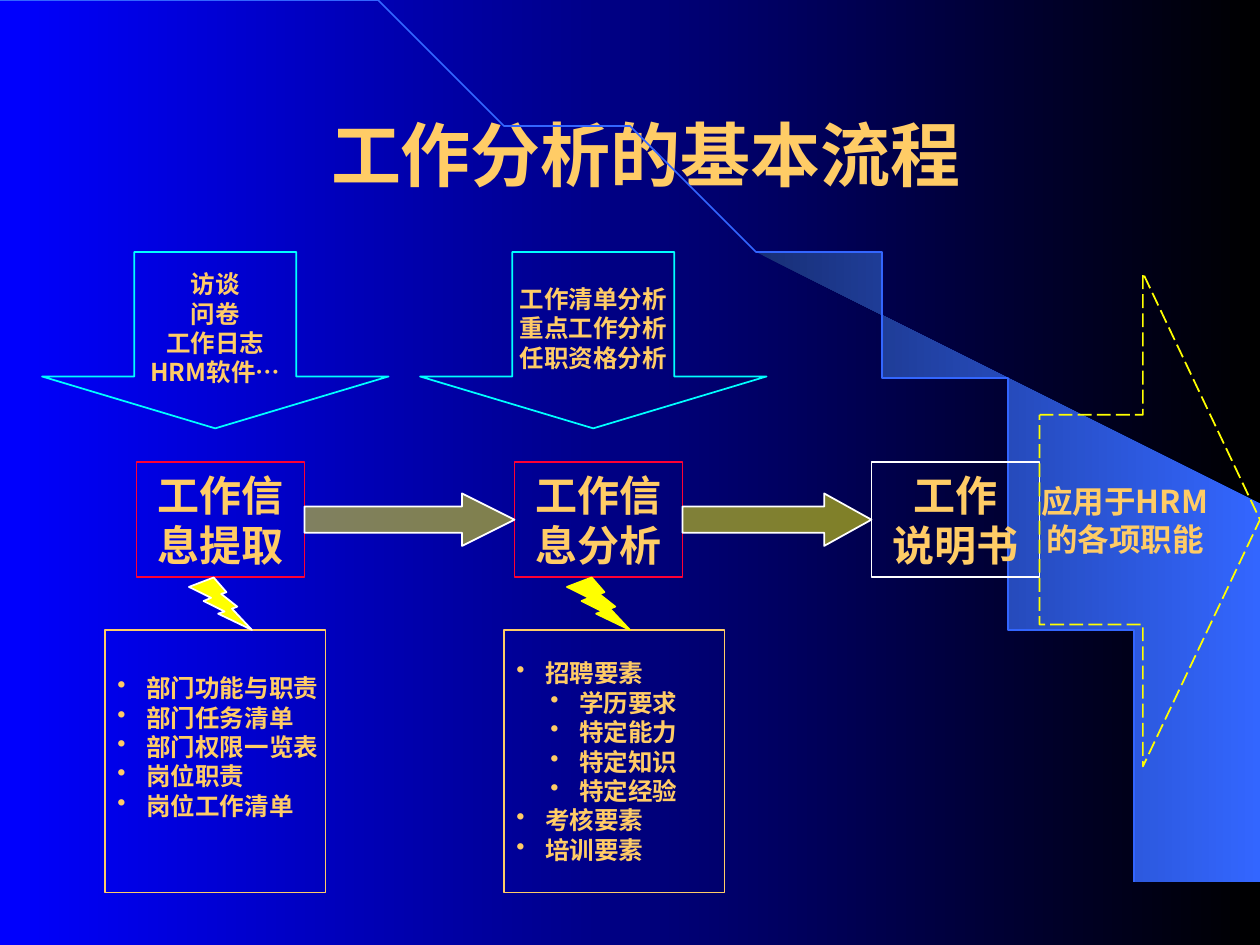
import math
from dataclasses import dataclass

import pptx
import pptx.dml.color
import pptx.enum.dml
import pptx.enum.shapes
import pptx.enum.text
import pptx.oxml
import pptx.oxml.ns
import pptx.util
from lxml import etree

Inches, Pt = pptx.util.Inches, pptx.util.Pt
Preset = pptx.enum.shapes.MSO_SHAPE
Align = pptx.enum.text.PP_ALIGN
Anchor = pptx.enum.text.MSO_ANCHOR
qn = pptx.oxml.ns.qn

UNIT = Inches(10) / 120  # the slide is 120 columns by 90 rows


@dataclass(frozen=True)
class Theme:
    deep_blue: str = "0000FF"
    black: str = "000000"
    swoosh_dark: str = "182F76"
    swoosh_light: str = "3366FF"
    gold: str = "FFCC66"
    red: str = "FF0033"
    cyan: str = "00FFFF"
    yellow: str = "FFFF00"
    white: str = "FFFFFF"
    title_font: str = "Times New Roman"
    text_font: str = "Noto Sans CJK SC"
    title_size: int = 40
    step_size: int = 24
    outcome_size: int = 18
    detail_size: int = 14


THEME = Theme()


@dataclass(frozen=True)
class Box:
    """A place on the grid, in columns and rows."""
    col: float
    row: float
    cols: float
    rows: float

    def emu(self) -> tuple[int, ...]:
        return tuple(round(n * UNIT) for n in (self.col, self.row, self.cols, self.rows))


@dataclass(frozen=True)
class Figure:
    preset: Preset
    box: Box
    line: str
    text: str = ""
    size: int = THEME.detail_size
    fill: str | None = None
    alpha: int = 100
    adjust: tuple[float, ...] = ()
    dashed: bool = False


@dataclass(frozen=True)
class Checklist:
    box: Box
    items: tuple[tuple[int, str], ...]  # (level, wording)
    lift: float = 0  # extra space under the list, in inches


def rgb(value: str) -> pptx.dml.color.RGBColor:
    return pptx.dml.color.RGBColor.from_string(value)


def style_runs(paragraph, size: int, latin: str = THEME.text_font) -> None:
    for run in paragraph.runs:
        run.font.size, run.font.bold, run.font.name = Pt(size), True, latin
        run.font.color.rgb = rgb(THEME.gold)
        east_asian = etree.SubElement(run.font._element, qn("a:ea"))
        east_asian.set("typeface", THEME.text_font)


def blend(fill, start: str, end: str) -> None:
    """Fill from left to right with a two-colour gradient."""
    fill.gradient()
    fill.gradient_angle = 0
    for stop, position, colour in zip(fill.gradient_stops, (0, 1), (start, end)):
        stop.position, stop.color.rgb = position, rgb(colour)


def add_bullet(paragraph, level: int) -> None:
    properties = paragraph._p.get_or_add_pPr()
    hang = 0.23
    properties.set("marL", str(Inches(0.5 if level else hang)))
    properties.set("indent", str(-Inches(hang)))
    colour = etree.SubElement(properties, qn("a:buClr"))
    etree.SubElement(colour, qn("a:srgbClr")).set("val", THEME.gold)
    etree.SubElement(properties, qn("a:buChar")).set("char", "•")
    paragraph.level = level


def draw_figure(slide, figure: Figure):
    shape = slide.shapes.add_shape(figure.preset, *figure.box.emu())
    shape.shadow.inherit = False
    for index, value in enumerate(figure.adjust):
        shape.adjustments[index] = value
    shape.line.color.rgb = rgb(figure.line)
    shape.line.width = Pt(1)
    if figure.dashed:
        shape.line.dash_style = pptx.enum.dml.MSO_LINE.LONG_DASH
    if figure.fill:
        shape.fill.solid()
        shape.fill.fore_color.rgb = rgb(figure.fill)
        if figure.alpha < 100:
            colour = shape._element.spPr.find(qn("a:solidFill"))[0]
            etree.SubElement(colour, qn("a:alpha")).set("val", str(figure.alpha * 1000))
    else:
        shape.fill.background()
    if figure.text:
        frame = shape.text_frame
        frame.text = figure.text
        frame.word_wrap = False
        frame.vertical_anchor = Anchor.MIDDLE
        for paragraph in frame.paragraphs:
            paragraph.alignment = Align.CENTER
            style_runs(paragraph, figure.size)
    return shape


def draw_checklist(slide, checklist: Checklist) -> None:
    wording = "\n".join(item for _, item in checklist.items)
    shape = draw_figure(slide, Figure(Preset.RECTANGLE, checklist.box, THEME.gold, wording))
    frame = shape.text_frame
    frame.word_wrap = True
    frame.margin_right = 0
    frame.margin_bottom = Inches(0.05 + checklist.lift)
    for paragraph, (level, _) in zip(frame.paragraphs, checklist.items):
        paragraph.alignment = Align.LEFT
        add_bullet(paragraph, level)


def draw_backdrop(slide) -> None:
    """Background gradient, the lit wedge and the quarter-ellipse it leans on."""
    blend(slide.background.fill, THEME.deep_blue, THEME.black)
    radius_x, radius_y = 9.2, 7.49

    def arc(start: float, steps: int) -> list[tuple[float, float]]:
        angles = (start + (math.pi / 2 - start) * i / steps for i in range(steps + 1))
        return [(radius_x * math.sin(a), radius_y * (1 - math.cos(a))) for a in angles]

    def outline(points, close: bool):
        builder = slide.shapes.build_freeform(*points[0], scale=Inches(1))
        builder.add_line_segments(points[1:], close=close)
        shape = builder.convert_to_shape()
        shape.shadow.inherit = False
        return shape

    wedge = outline(arc(math.asin(5.89 / radius_x), 24) + [(9.99, 7.49), (9.99, 4.23)], True)
    blend(wedge.fill, THEME.swoosh_dark, THEME.swoosh_light)
    wedge.line.fill.background()
    curve = outline(arc(0, 60), False)
    curve.fill.background()
    curve.line.color.rgb = rgb(THEME.swoosh_light)
    curve.line.width = Pt(1)


def write_title(slide, wording: str) -> None:
    title = slide.shapes.title
    title.left, title.top, title.width, title.height = Box(12, 10, 99, 11).emu()
    frame = title.text_frame
    frame.text = wording
    frame.auto_size = pptx.enum.text.MSO_AUTO_SIZE.NONE
    frame.vertical_anchor = Anchor.TOP
    frame.paragraphs[0].alignment = Align.CENTER
    style_runs(frame.paragraphs[0], THEME.title_size, THEME.title_font)


def step(col: float, line: str, text: str) -> Figure:
    return Figure(Preset.RECTANGLE, Box(col, 44, 16, 11), line, text, THEME.step_size)


def method(col: float, text: str) -> Figure:
    return Figure(Preset.DOWN_ARROW, Box(col, 24, 33, 16.8), THEME.cyan, text,
                  adjust=(0.468, 0.294))


def bolt(col: float, line: str) -> Figure:
    return Figure(Preset.LIGHTNING_BOLT, Box(col, 55, 6, 5), line, fill=THEME.yellow)


def link(col: float, cols: float, head: float) -> Figure:
    return Figure(Preset.RIGHT_ARROW, Box(col, 47, cols, 5), THEME.white,
                  fill=THEME.yellow, alpha=50, adjust=(0.5, head))


FIGURES = (
    step(13, THEME.red, "工作信\n息提取"),
    step(49, THEME.red, "工作信\n息分析"),
    step(83, THEME.white, "工作\n说明书"),
    method(4, "访谈\n问卷\n工作日志\nHRM软件…"),
    method(40, "工作清单分析\n重点工作分析\n任职资格分析"),
    bolt(18, THEME.white),
    bolt(54, THEME.yellow),
    Figure(Preset.RIGHT_ARROW, Box(99, 26, 21, 47), THEME.yellow, "应用于HRM\n的各项职能",
           THEME.outcome_size, adjust=(0.425, 0.531), dashed=True),
    link(29, 20, 1),
    link(65, 18, 0.9),
)

CHECKLISTS = (
    Checklist(Box(10, 60, 21, 25), (
        (0, "部门功能与职责"), (0, "部门任务清单"), (0, "部门权限一览表"),
        (0, "岗位职责"), (0, "岗位工作清单")), lift=0.23),
    Checklist(Box(48, 60, 21, 25), (
        (0, "招聘要素"), (1, "学历要求"), (1, "特定能力"), (1, "特定知识"),
        (1, "特定经验"), (0, "考核要素"), (0, "培训要素"))),
)


def main() -> None:
    deck = pptx.Presentation()
    deck.slide_width, deck.slide_height = Inches(10), Inches(7.5)
    slide = deck.slides.add_slide(deck.slide_layouts[5])
    draw_backdrop(slide)
    write_title(slide, "工作分析的基本流程")
    for checklist in CHECKLISTS:
        draw_checklist(slide, checklist)
    for figure in FIGURES:
        draw_figure(slide, figure)
    deck.save("out.pptx")


if __name__ == "__main__":
    main()
